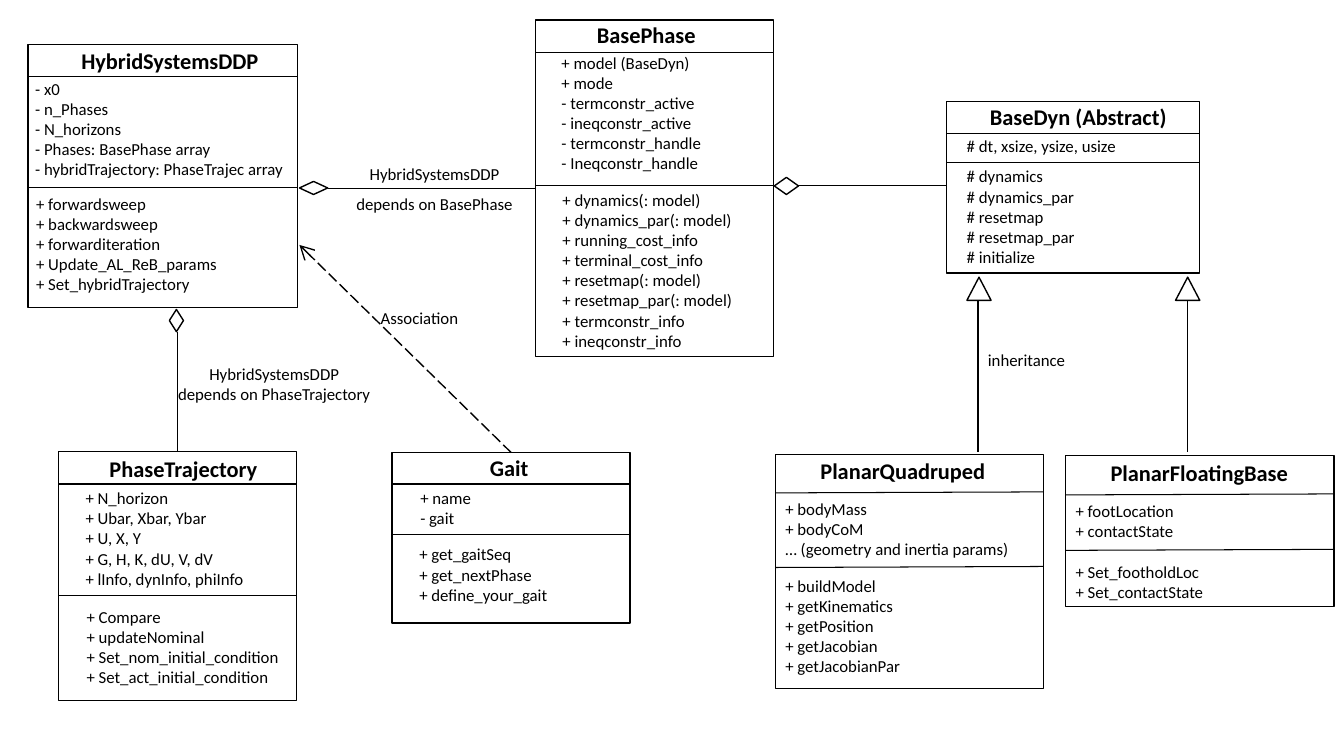
import pptx
import pptx.util
import pptx.dml.color
import pptx.enum.dml
import pptx.enum.shapes
import pptx.enum.text
import pptx.oxml
import pptx.oxml.ns
from dataclasses import dataclass

Inches = pptx.util.Inches
SHAPE = pptx.enum.shapes.MSO_SHAPE
ALIGN = pptx.enum.text.PP_ALIGN
ANCHOR = pptx.enum.text.MSO_ANCHOR


@dataclass
class Theme:
    font: str = "Calibri"
    ink: pptx.dml.color.RGBColor = pptx.dml.color.RGBColor(0, 0, 0)
    title: int = 16
    body: int = 12
    line: float = 1
    thin: float = 0.75


theme = Theme()

# Classes: frame, title box, dividers, their weight and rise, and
# the two member lists as (left, top, width, lines)
CLASSES = [
    dict(name="BasePhase", frame=(5.31, 0.2, 2.36, 3.34), title=(5.7, 0.22, 1.42, 0.25),
         dividers=(0.52, 1.84), weight=theme.line, rise=0, members=[
             (5.47, 0.47, 1.9, ["+ model (BaseDyn) ", "+ mode", "- termconstr_active",
                                "- ineqconstr_active", "- termconstr_handle",
                                "- Ineqconstr_handle"]),
             (5.48, 1.83, 2.19, ["+ dynamics(: model)", "+ dynamics_par(: model)",
                                 "+ running_cost_info", "+ terminal_cost_info",
                                 "+ resetmap(: model)", "+ resetmap_par(: model)",
                                 "+ termconstr_info", "+ ineqconstr_info"])]),
    dict(name="BaseDyn (Abstract)", frame=(9.39, 1.01, 2.51, 1.7), title=(9.7, 1.01, 1.99, 0.3),
         dividers=(1.32, 1.61), weight=theme.thin, rise=0, members=[
             (9.49, 1.3, 1.9, ["# dt, xsize, ysize, usize"]),
             (9.49, 1.6, 1.9, ["# dynamics", "# dynamics_par", "# resetmap",
                               "# resetmap_par", "# initialize"])]),
    dict(name="PlanarQuadruped", frame=(7.69, 4.51, 2.66, 2.32), title=(8.03, 4.48, 1.85, 0.38),
         dividers=(4.89, 5.63), weight=theme.thin, rise=0.01, members=[
             (7.69, 4.9, 2.66, ["+ bodyMass", "+ bodyCoM",
                                "… (geometry and inertia params)"]),
             (7.69, 5.66, 2.66, ["+ buildModel", "+ getKinematics", "+ getPosition",
                                 "+ getJacobian", "+ getJacobianPar"])]),
    dict(name="PlanarFloatingBase", frame=(10.57, 4.52, 2.66, 1.5), title=(10.9, 4.5, 1.99, 0.38),
         dividers=(4.91, 5.46), weight=theme.thin, rise=0.01, members=[
             (10.57, 4.92, 2.66, ["+ footLocation", "+ contactState"]),
             (10.57, 5.52, 2.66, ["+ Set_footholdLoc", "+ Set_contactState"])]),
    dict(name="HybridSystemsDDP", frame=(0.28, 0.44, 2.67, 2.61), title=(0.59, 0.46, 2.19, 0.28),
         dividers=(0.76, 1.86), weight=theme.line, rise=0, members=[
             (0.25, 0.73, 2.68, ["- x0", "- n_Phases", "- N_horizons",
                                 "- Phases: BasePhase array",
                                 "- hybridTrajectory: PhaseTrajec array"]),
             (0.26, 1.87, 2.47, ["+ forwardsweep", "+ backwardsweep", "+ forwarditeration",
                                 "+ Update_AL_ReB_params", "+ Set_hybridTrajectory"])]),
    dict(name="PhaseTrajectory", frame=(0.58, 4.48, 2.36, 2.47), title=(0.85, 4.51, 1.94, 0.28),
         dividers=(4.8, 5.91), weight=theme.line, rise=0, members=[
             (0.75, 4.79, 1.9, ["+ N_horizon", "+ Ubar, Xbar, Ybar", "+ U, X, Y",
                                "+ G, H, K, dU, V, dV", "+ lInfo, dynInfo, phiInfo"]),
             (0.76, 5.97, 2.19, ["+ Compare", "+ updateNominal",
                                 "+ Set_nom_initial_condition",
                                 "+ Set_act_initial_condition"])]),
    dict(name="Gait", frame=(3.89, 4.49, 2.36, 1.69), title=(4.08, 4.5, 1.94, 0.28),
         dividers=(4.8, 5.3), weight=theme.line, rise=0, members=[
             (4.07, 4.79, 1.9, ["+ name", "- gait"]),
             (4.06, 5.35, 2.19, ["+ get_gaitSeq", "+ get_nextPhase",
                                 "+ define_your_gait"])]),
]

# Relations: end symbol, its box, and the line from it
RELATIONS = [
    (SHAPE.ISOSCELES_TRIANGLE, (9.59, 2.75, 0.24, 0.23), (9.7, 2.98, 9.7, 4.48)),
    (SHAPE.ISOSCELES_TRIANGLE, (11.66, 2.75, 0.24, 0.23), (11.78, 2.98, 11.78, 4.48)),
    (SHAPE.FLOWCHART_DECISION, (2.97, 1.8, 0.28, 0.13), (3.25, 1.87, 5.31, 1.87)),
    (SHAPE.FLOWCHART_DECISION, (1.68, 3.07, 0.14, 0.22), (1.76, 3.29, 1.76, 4.48)),
    (SHAPE.FLOWCHART_DECISION, (7.68, 1.76, 0.24, 0.17), (7.92, 1.84, 9.38, 1.84)),
]
ASSOCIATION = (5.07, 4.49, 2.97, 2.43)

# Labels: box, lines, alignment, line spacing
LABELS = [
    ((9.7, 3.42, 1.03, 0.3), ["inheritance"], ALIGN.LEFT, 1),
    ((3.42, 1.47, 1.78, 0.68), ["HybridSystemsDDP", "depends on BasePhase"], ALIGN.CENTER, 1.5),
    ((1.63, 3.56, 2.18, 0.5), ["HybridSystemsDDP", "depends on PhaseTrajectory"],
     ALIGN.CENTER, 1),
    ((3.34, 3, 1.64, 0.31), ["Association"], ALIGN.CENTER, 1),
]

prs = pptx.Presentation()
prs.slide_width, prs.slide_height = Inches(13.33), Inches(7.5)
s = prs.slides.add_slide(prs.slide_layouts[6])


def add_text(box, lines, align=ALIGN.LEFT, spacing=1, size=theme.body, bold=False):
    tf = s.shapes.add_textbox(*map(Inches, box)).text_frame
    tf.word_wrap = True
    tf.text = "\n".join(lines)
    for p in tf.paragraphs:
        p.alignment = align
        p.line_spacing = spacing
        for r in p.runs:
            r.font.name, r.font.size, r.font.bold = theme.font, pptx.util.Pt(size), bold
            r.font.color.rgb = theme.ink
    return tf


def set_line(sp, weight=theme.line):
    sp.line.color.rgb = theme.ink
    sp.line.width = pptx.util.Pt(weight)


def add_outline(kind, box):
    sp = s.shapes.add_shape(kind, *map(Inches, box))
    sp.shadow.inherit = False
    sp.fill.background()
    set_line(sp)


def add_line(ends, weight=theme.line):
    straight = pptx.enum.shapes.MSO_CONNECTOR.STRAIGHT
    c = s.shapes.add_connector(straight, *map(Inches, ends))
    set_line(c, weight)
    pptx.oxml.ns.qn("a:effectLst")
    c._element.spPr.append(pptx.oxml.parse_xml(
        f'<a:effectLst {pptx.oxml.ns.nsdecls("a")}/>'))
    return c


# Class boxes
for cls in CLASSES:
    x, y, w, h = cls["frame"]
    add_outline(SHAPE.RECTANGLE, cls["frame"])
    for d in cls["dividers"]:
        add_line((x, d, x + w, d - cls["rise"]), cls["weight"])
    tf = add_text(cls["title"], [cls["name"]], ALIGN.CENTER, size=theme.title, bold=True)
    tf.vertical_anchor = ANCHOR.MIDDLE
    tf.margin_left = tf.margin_right = 0
    for left, top, width, lines in cls["members"]:
        add_text((left, top, width, 0.1 + 0.2 * len(lines)), lines)

# Aggregation and inheritance
for kind, box, ends in RELATIONS:
    add_outline(kind, box)
    add_line(ends)

# Dashed association arrow
arrow = add_line(ASSOCIATION)
arrow.line.dash_style = pptx.enum.dml.MSO_LINE.LONG_DASH
arrow.line._get_or_add_ln().append(pptx.oxml.parse_xml(
    f'<a:tailEnd {pptx.oxml.ns.nsdecls("a")} type="arrow" w="lg" len="lg"/>'))

# Relation labels
for box, lines, align, spacing in LABELS:
    add_text(box, lines, align, spacing)

prs.save("out.pptx")
